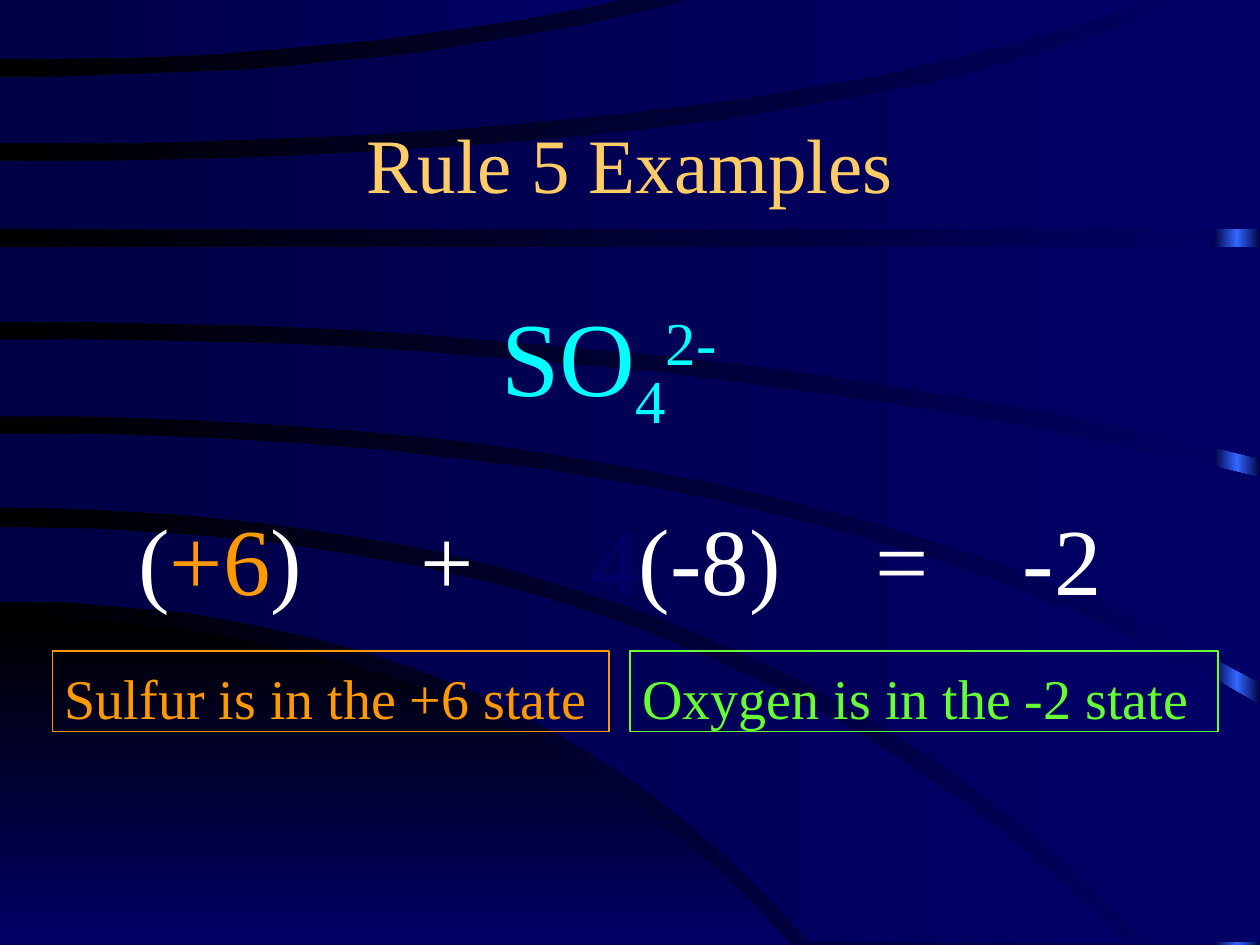
import copy

import pptx
import pptx.dml.color
import pptx.enum.shapes
import pptx.enum.text
import pptx.oxml.ns
import pptx.util
from lxml import etree

Pt = pptx.util.Pt
RGBColor = pptx.dml.color.RGBColor
Align = pptx.enum.text.PP_ALIGN
Anchor = pptx.enum.text.MSO_ANCHOR
RECTANGLE = pptx.enum.shapes.MSO_SHAPE.RECTANGLE
qn = pptx.oxml.ns.qn

BLACK = RGBColor(0x00, 0x00, 0x00)
NAVY = RGBColor(0x00, 0x00, 0x66)
DARK_NAVY = RGBColor(0x00, 0x00, 0x44)
BLUE = RGBColor(0x33, 0x66, 0xFF)
GOLD = RGBColor(0xFF, 0xCC, 0x66)
CYAN = RGBColor(0x00, 0xFF, 0xFF)
ORANGE = RGBColor(0xFF, 0x99, 0x00)
GREEN = RGBColor(0x66, 0xFF, 0x33)
WHITE = RGBColor(0xFF, 0xFF, 0xFF)

FONT = "Times New Roman"
WIDTH, HEIGHT = 720, 540
RIGHTWARD, DOWNWARD = 0, 270
ABOVE, BELOW = -1.5, 538.5  # where bands stop at the top and bottom
CURVE_STEPS = 16

# An edge leaves the left side level: start y, bend x, end x, end y
CORNER_EDGE = (353.5, 290, 452, HEIGHT)
BAND_EDGES = [  # upper edge, lower edge
    ((301, 412, 643, BELOW), (343.5, 297, 462, BELOW)),
    ((247.5, 459, WIDTH, 403), (290, 423, 654.5, BELOW)),
    ((193.5, 398, WIDTH, 273), (237.5, 454, WIDTH, 390)),
    ((141, 360, WIDTH, 141), (183.5, 398, WIDTH, 262)),
    ((92, 484, 679, ABOVE), (131, 360, WIDTH, 131)),
    ((44, 232, 400, ABOVE), (82, 444, 660, ABOVE)),
    ((ABOVE, 180, 361, ABOVE), (34, 200, 361, ABOVE)),
]


def curve(start_y, bend_x, end_x, end_y):
    """Points of a quadratic curve with a level start."""
    points = []
    for step in range(CURVE_STEPS + 1):
        t = step / CURVE_STEPS
        points.append((2 * t * (1 - t) * bend_x + t * t * end_x,
                       start_y + t * t * (end_y - start_y)))
    return points


def set_gradient(fill, start, end, angle=RIGHTWARD):
    fill.gradient()
    fill.gradient_angle = angle
    for stop, position, color in zip(fill.gradient_stops, (0, 1), (start, end)):
        stop.position = position
        stop.color.rgb = color


def add_outline(slide, points, left, top):
    builder = slide.shapes.build_freeform(*points[0], scale=Pt(1))
    builder.add_line_segments(points[1:])
    shape = builder.convert_to_shape(Pt(left), Pt(top))
    shape.shadow.inherit = False
    shape.line.fill.background()
    return shape


def add_backdrop(slide, left, top, width, height):
    set_gradient(slide.background.fill, BLACK, NAVY)

    # Bright strip along the right edge
    strip_width = 26.5
    strip = slide.shapes.add_shape(RECTANGLE, Pt(left + width - strip_width), Pt(top),
                                   Pt(strip_width), Pt(height))
    strip.shadow.inherit = False
    strip.line.fill.background()
    set_gradient(strip.fill, DARK_NAVY, BLUE)
    stops = strip._element.spPr.find(".//" + qn("a:gsLst"))
    stops.append(copy.deepcopy(stops[0]))
    strip.fill.gradient_stops[1].position = 0.5
    strip.fill.gradient_stops[2].position = 1

    # Dark corner
    corner = add_outline(slide, curve(*CORNER_EDGE) + [(0, height)], left, top)
    set_gradient(corner.fill, BLACK, NAVY, DOWNWARD)

    # Curved bands, squared off where one edge ends before the other
    for edges in BAND_EDGES:
        upper, lower = (curve(*edge) for edge in edges)
        ends = sorted((upper[-1], lower[-1]))
        square_end = (ends[1][0], ends[0][1])
        band = add_outline(slide, upper + [square_end] + lower[::-1], left, top)
        set_gradient(band.fill, DARK_NAVY, NAVY)


def fill_text(shape, runs, size, color, align=Align.LEFT, tabs=(), anchor=Anchor.TOP):
    """Write runs of (text, color or None, baseline in percent)."""
    frame = shape.text_frame
    frame.word_wrap = True
    frame.vertical_anchor = anchor
    if anchor == Anchor.TOP:
        frame.margin_top = Pt(3.6 + 0.12 * size)
    paragraph = frame.paragraphs[0]
    paragraph.alignment = align
    if tabs:
        tab_list = etree.SubElement(paragraph._p.get_or_add_pPr(), qn("a:tabLst"))
        for position in tabs:
            etree.SubElement(tab_list, qn("a:tab"), pos=str(Pt(position)), algn="l")
    paragraph.font.name = FONT
    paragraph.font.size = Pt(size)
    paragraph.font.color.rgb = color
    for text, run_color, baseline in runs:
        run = paragraph.add_run()
        run.text = text
        if run_color is not None:
            run.font.color.rgb = run_color
        if baseline:
            run._r.get_or_add_rPr().set("baseline", str(baseline * 1000))


def add_text(slide, box, runs, size, color, **options):
    shape = slide.shapes.add_textbox(*map(Pt, box))
    fill_text(shape, runs, size, color, **options)


def add_state_box(slide, box, text, color):
    shape = slide.shapes.add_shape(RECTANGLE, *map(Pt, box))
    shape.shadow.inherit = False
    shape.fill.background()
    shape.line.color.rgb = color
    shape.line.width = Pt(0.75)
    fill_text(shape, [(text, None, 0)], 32, color)


def add_example(slide, left, top):
    # Ion formula
    add_text(slide, (left + 234, top, 168, 79),
             [("SO", None, 0), ("4", None, -25), ("2-", None, 30)],
             60, CYAN, align=Align.CENTER)
    # Charge balance
    add_text(slide, (left + 42, top + 120, 576, 72),
             [("(", None, 0), ("+6", ORANGE, 0), (")\t+\t", None, 0),
              ("4", NAVY, 0), ("(-8)\t=\t-2", None, 0)],
             54, WHITE, tabs=(161, 259, 421, 505.5))
    # Oxidation states
    add_state_box(slide, (left, top + 216, 318, 46), "Sulfur is in the +6 state", ORANGE)
    add_state_box(slide, (left + 330, top + 216, 336, 46), "Oxygen is in the -2 state", GREEN)


def main():
    presentation = pptx.Presentation()
    presentation.slide_width, presentation.slide_height = Pt(WIDTH), Pt(HEIGHT)
    slide = presentation.slides.add_slide(presentation.slide_layouts[6])
    add_backdrop(slide, 0, 0, WIDTH, HEIGHT)
    add_text(slide, (54, 48, 612, 90), [("Rule 5 Examples", None, 0)], 44, GOLD,
             align=Align.CENTER, anchor=Anchor.MIDDLE)
    add_example(slide, 30, 156)
    presentation.save("out.pptx")


if __name__ == "__main__":
    main()
